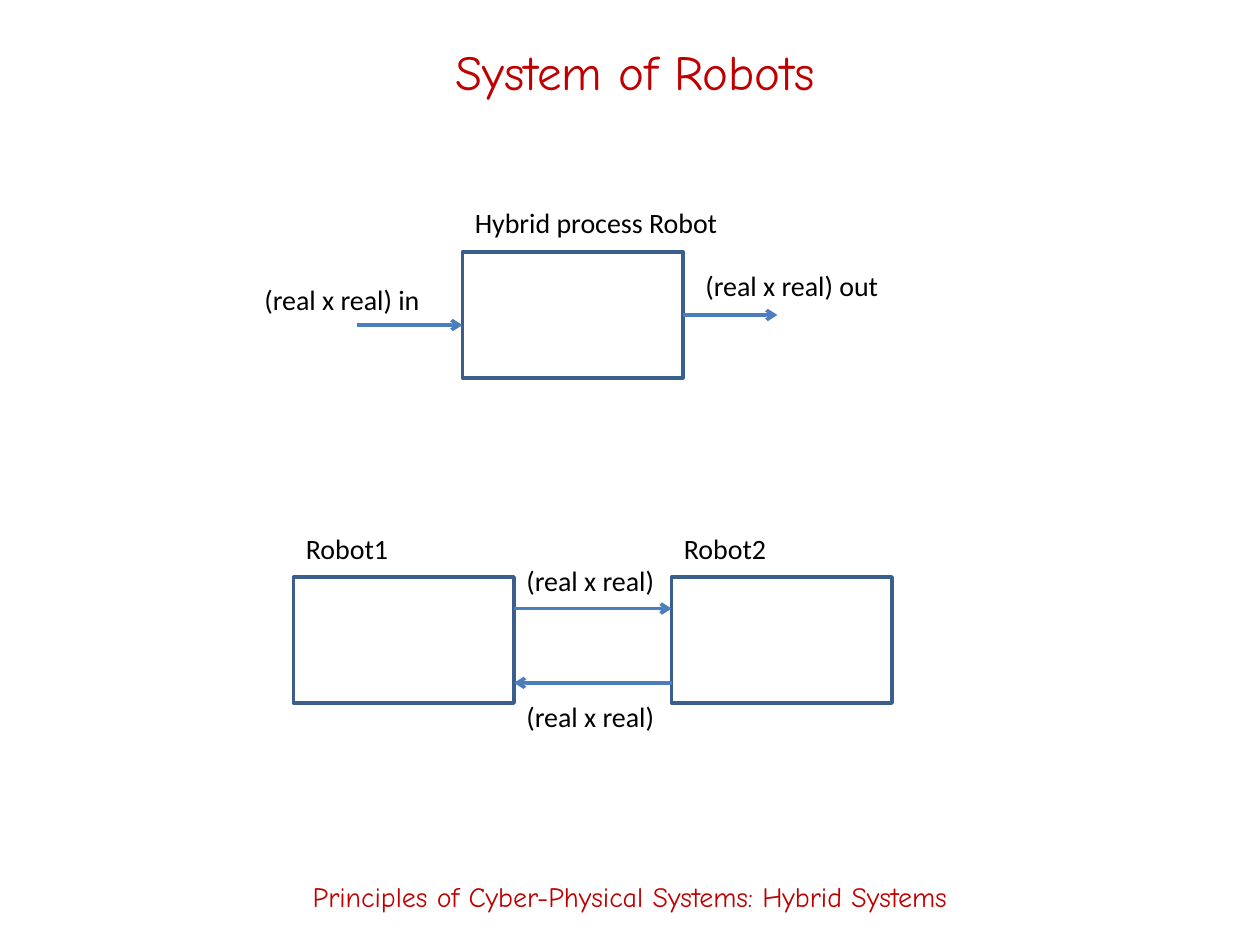
import pptx
import pptx.dml.color
import pptx.enum.shapes
import pptx.enum.text
import pptx.oxml
import pptx.oxml.ns
import pptx.util
from pptx.util import Inches

RED, BLACK = "C00000", "000000"
BOX_BLUE, ARROW_BLUE = "3A5F8C", "4B7EBC"
HEADING_FONT, LABEL_FONT = "Comic Neue", "Calibri"
BOX_WIDTH, BOX_HEIGHT = 1.75, 1
LABEL_HEIGHT = 0.37


def color(hex_string):
    return pptx.dml.color.RGBColor.from_string(hex_string)


def write(text_frame, text, font_name, size, hex_color, alignment):
    paragraph = text_frame.paragraphs[0]
    paragraph.alignment = alignment
    run = paragraph.add_run()
    run.text = text
    run.font.name = font_name
    run.font.size = pptx.util.Pt(size)
    run.font.color.rgb = color(hex_color)


def write_heading(shape, text, size):
    text_frame = shape.text_frame
    text_frame.word_wrap = True
    text_frame.vertical_anchor = pptx.enum.text.MSO_ANCHOR.MIDDLE
    write(text_frame, text, HEADING_FONT, size, RED, pptx.enum.text.PP_ALIGN.CENTER)


def add_label(group, left, top, width, text):
    shape = group.shapes.add_textbox(
        Inches(left), Inches(top), Inches(width), Inches(LABEL_HEIGHT))
    text_frame = shape.text_frame
    text_frame.word_wrap = False
    text_frame.auto_size = pptx.enum.text.MSO_AUTO_SIZE.SHAPE_TO_FIT_TEXT
    write(text_frame, text, LABEL_FONT, 16, BLACK, pptx.enum.text.PP_ALIGN.LEFT)


def add_process_box(group, left, top):
    shape = group.shapes.add_shape(
        pptx.enum.shapes.MSO_SHAPE.RECTANGLE,
        Inches(left), Inches(top), Inches(BOX_WIDTH), Inches(BOX_HEIGHT))
    shape.shadow.inherit = False
    shape.fill.background()
    shape.line.color.rgb = color(BOX_BLUE)
    shape.line.width = pptx.util.Pt(2)
    return shape


def add_arrow(group, start, end, height):
    """Add a horizontal arrow pointing from start to end."""
    connector = group.shapes.add_connector(
        pptx.enum.shapes.MSO_CONNECTOR.STRAIGHT,
        Inches(start), Inches(height), Inches(end), Inches(height))
    connector.line.color.rgb = color(ARROW_BLUE)
    connector.line.width = pptx.util.Pt(2)
    line = connector.line._get_or_add_ln()
    namespace = pptx.oxml.ns.nsdecls("a")
    line.append(pptx.oxml.parse_xml(f'<a:tailEnd {namespace} type="arrow"/>'))
    line.addnext(pptx.oxml.parse_xml(f"<a:effectLst {namespace}/>"))
    return connector


def add_single_robot(slide):
    group = slide.shapes.add_group_shape()
    left, top = 3.67, 2
    right = left + BOX_WIDTH
    box = add_process_box(group, left, top)
    output_arrow = add_arrow(group, right, right + 0.75, top + BOX_HEIGHT / 2)
    output_arrow.begin_connect(box, 3)
    add_arrow(group, 2.83, left, 2.58)
    add_label(group, 2, 2.19, 1.45, "(real x real) in")
    add_label(group, 5.5, 2.08, 1.59, "(real x real) out")
    add_label(group, left, 1.58, 2.15, "Hybrid process Robot")


def add_robot_pair(slide):
    group = slide.shapes.add_group_shape()
    first_left, second_left, top = 2.33, 5.33, 4.58
    first_right = first_left + BOX_WIDTH
    for name, left in (("Robot1", first_left), ("Robot2", second_left)):
        add_process_box(group, left, top)
        add_label(group, left, 4.17, 0.87, name)
    # Signals in both directions
    add_arrow(group, first_right, second_left, 4.83)
    add_arrow(group, second_left, first_right, 5.42)
    for label_top in (4.42, 5.5):
        add_label(group, first_right, label_top, 1.23, "(real x real)")


def main():
    presentation = pptx.Presentation()
    presentation.slide_width = Inches(10)
    presentation.slide_height = Inches(7.5)
    slide = presentation.slides.add_slide(presentation.slide_layouts[5])

    # Title
    title = slide.shapes.title
    title.left, title.top = Inches(0.75), Inches(0.17)
    title.width, title.height = Inches(8.58), Inches(0.78)
    write_heading(title, "System of Robots", 28)

    # Diagrams
    add_single_robot(slide)
    add_robot_pair(slide)

    # Course name at the bottom
    footer = slide.shapes.add_textbox(0, Inches(6.72), Inches(10), Inches(0.78))
    write_heading(footer, "Principles of Cyber-Physical Systems: Hybrid Systems", 16)

    presentation.save("out.pptx")


if __name__ == "__main__":
    main()
